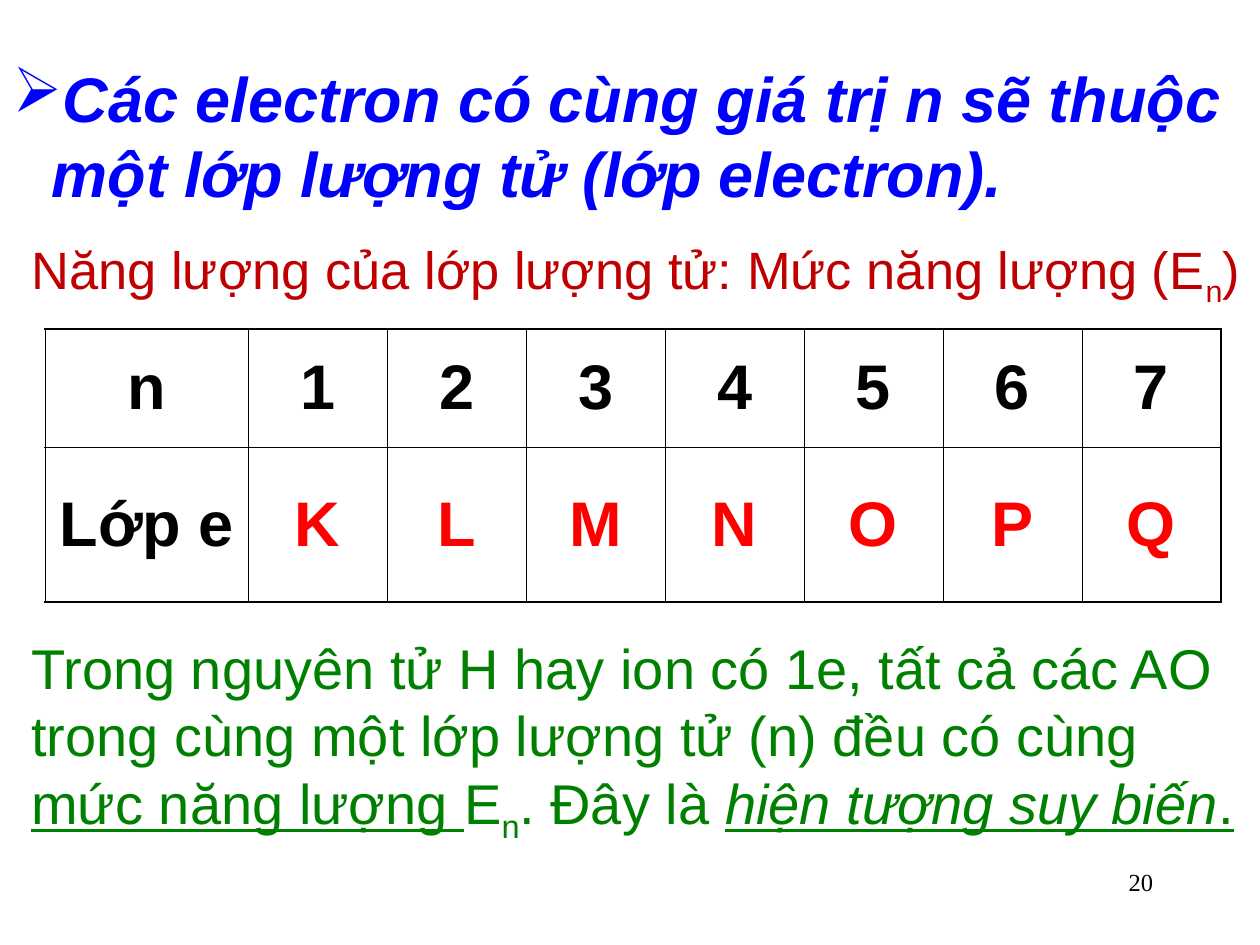
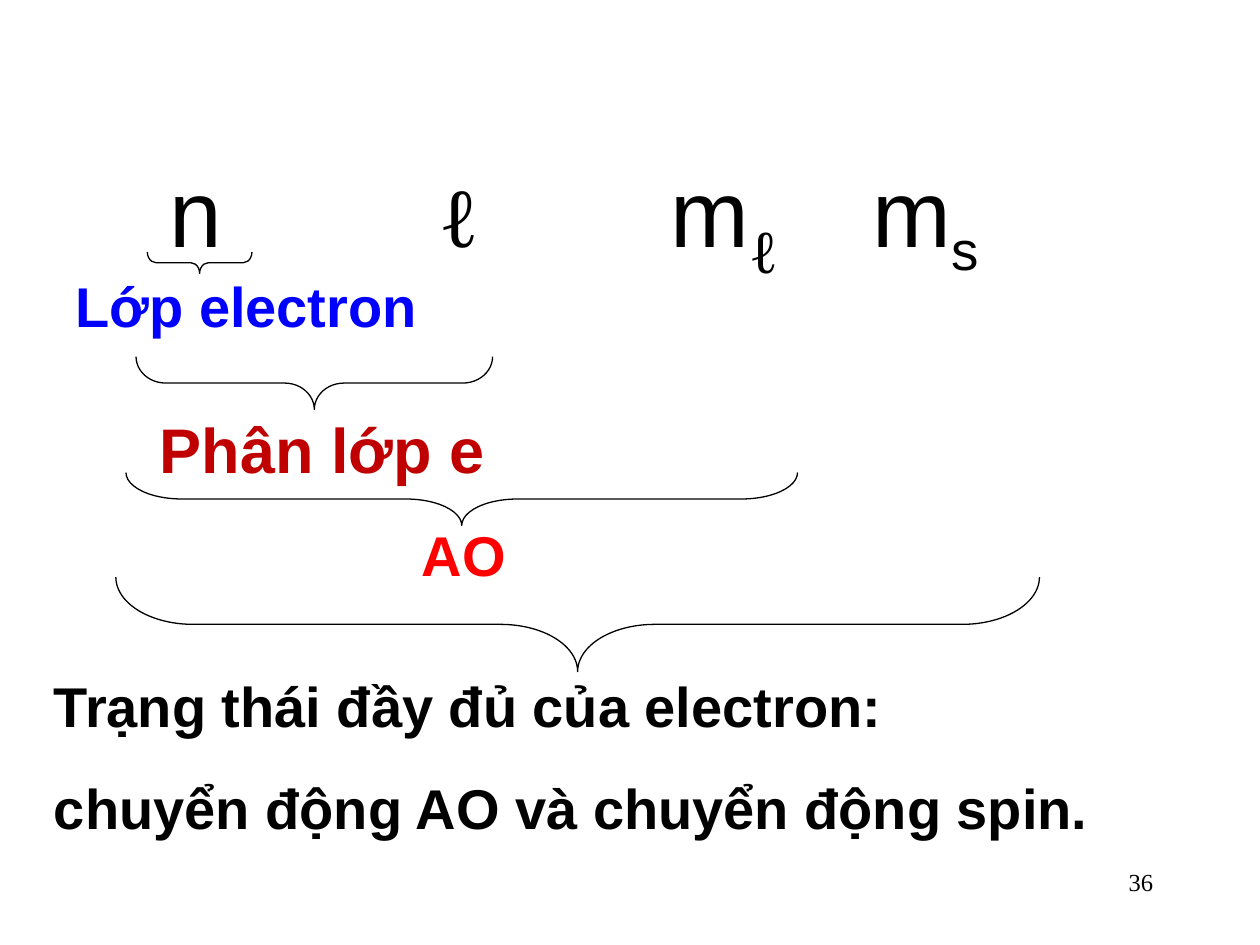
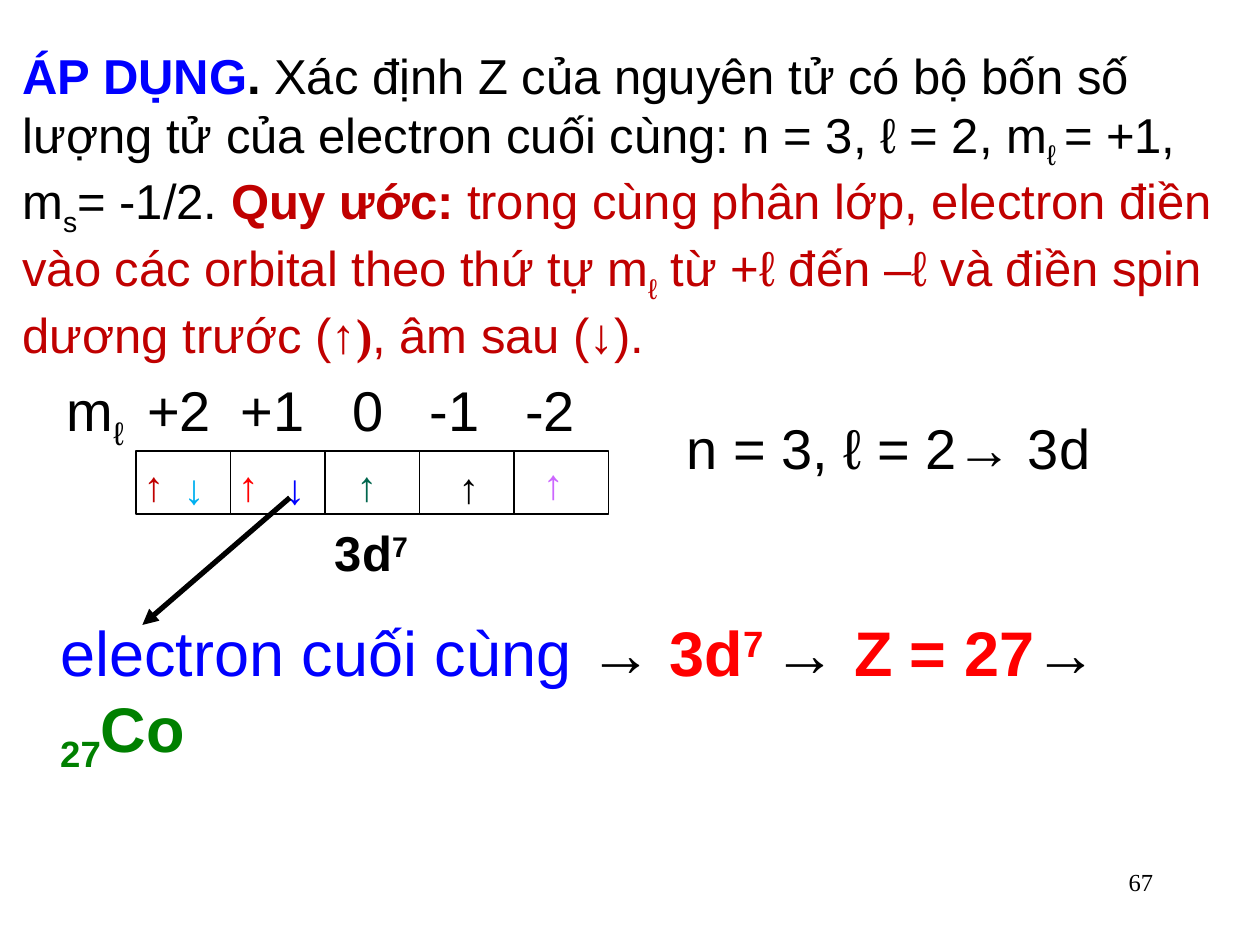
import pptx
import pptx.dml.color
import pptx.enum.shapes
import pptx.enum.text
import pptx.oxml
import pptx.oxml.ns
import pptx.util

Inches = pptx.util.Inches
Pt = pptx.util.Pt
Align = pptx.enum.text.PP_ALIGN
Anchor = pptx.enum.text.MSO_ANCHOR
Shape = pptx.enum.shapes.MSO_SHAPE
NS = pptx.oxml.ns.nsdecls("a")
BLACK, BLUE, RED, DARK, GREEN = "000000", "0000FF", "FF0000", "C00000", "008000"
SUB, SUP = {"base": -25}, {"base": 30}
SERIF = "Times New Roman"


def ink(code):
    """Return the colour for a hex string."""
    return pptx.dml.color.RGBColor.from_string(code)


def node(xml):
    """Return an element in the drawing namespace from short markup."""
    head, rest = xml.split(">", 1) if not xml.endswith("/>") else (xml[:-2], None)
    return pptx.oxml.parse_xml(f"{head} {NS}/>" if rest is None else f"{head} {NS}>{rest}")


def style(run, form):
    """Apply a dict of format values to a run."""
    for key, value in form.items():
        if key == "color":
            run.font.color.rgb = ink(value)
        elif key == "base":
            run._r.get_or_add_rPr().set("baseline", str(value * 1000))
        else:
            setattr(run.font, key, Pt(value) if key == "size" else value)


def write(frame, paras, form, align=None, gap=0, stops=()):
    """Fill a text frame with paragraphs, each a list of text and format pairs."""
    for num, parts in enumerate(paras):
        para = frame.add_paragraph() if num else frame.paragraphs[0]
        if stops:
            tabs = "".join(f'<a:tab pos="{Inches(stop)}" algn="l"/>' for stop in stops)
            para._p.get_or_add_pPr().append(node(f"<a:tabLst>{tabs}</a:tabLst>"))
        if align is not None:
            para.alignment = align
        if num and gap:
            para.space_before = Pt(gap)
        for text, extra in parts:
            run = para.add_run()
            run.text = text
            style(run, {"name": "Arial", "color": BLACK, **form, **extra})


def label(slide, box, paras, form, **more):
    """Add a wrapped text box; a plain string makes one paragraph."""
    frame = slide.shapes.add_textbox(*map(Inches, box)).text_frame
    frame.word_wrap = True
    write(frame, [[(paras, {})]] if isinstance(paras, str) else paras, form, **more)


def start(deck, layout, number):
    """Add a slide with its page number."""
    slide = deck.slides.add_slide(deck.slide_layouts[layout])
    label(slide, (7.17, 6.83, 2.08, 0.5), str(number),
          {"size": 14, "name": SERIF}, align=Align.RIGHT)
    return slide


def heading(slide, box, text):
    """Format the title as a bulleted statement."""
    title = slide.shapes.title
    title.left, title.top, title.width, title.height = map(Inches, box)
    frame = title.text_frame
    frame.auto_size = pptx.enum.text.MSO_AUTO_SIZE.NONE
    frame.vertical_anchor = Anchor.TOP
    prop = frame.paragraphs[0]._p.get_or_add_pPr()
    prop.set("marL", str(Inches(0.81)))
    prop.set("indent", str(Inches(-0.31)))
    prop.append(node(f'<a:buClr><a:srgbClr val="{BLUE}"/></a:buClr>'))
    prop.append(node('<a:buChar char="➢"/>'))
    write(frame, [[(text, {})]],
          {"size": 36, "color": BLUE, "bold": True, "italic": True}, align=Align.LEFT)


def edge(cell, sides):
    """Draw the borders of a cell from widths in points."""
    prop = cell._tc.get_or_add_tcPr()
    for spot, (side, width) in enumerate(sides.items()):
        prop.insert(spot, node(f'<a:ln{side} w="{Pt(width)}"><a:solidFill>'
                               f'<a:srgbClr val="{BLACK}"/></a:solidFill></a:ln{side}>'))


def shells(slide, box, rows, heights, first):
    """Build the table of electron shells."""
    last = len(rows[0]) - 1
    table = slide.shapes.add_table(len(rows), last + 1, *map(Inches, box)).table
    table.first_row = table.horz_banding = False
    for col in range(last + 1):
        table.columns[col].width = Inches(first if col == 0 else (box[2] - first) / last)
    for row, texts in enumerate(rows):
        table.rows[row].height = Inches(heights[row])
        for col, text in enumerate(texts):
            cell = table.cell(row, col)
            cell.fill.background()
            cell.vertical_anchor = Anchor.MIDDLE
            write(cell.text_frame, [[(text, {})]],
                  {"size": 36, "bold": True, "color": RED if row and col else BLACK},
                  align=Align.CENTER)
            outer = {"L": col == 0, "R": col == last, "T": row == 0, "B": row == len(rows) - 1}
            edge(cell, {side: 1.08 if rim else 0.45 for side, rim in outer.items()})


def plain(shape):
    """Leave a shape with only a thin black outline."""
    shape.shadow.inherit = False
    shape.fill.background()
    shape.line.color.rgb = ink(BLACK)
    shape.line.width = Pt(0.75)


def brace(slide, box):
    """Draw a brace that spans the box and points down."""
    left, top, span, depth = box
    shape = slide.shapes.add_shape(
        Shape.LEFT_BRACE, Inches(left + (span - depth) / 2),
        Inches(top + (depth - span) / 2), Inches(depth), Inches(span))
    shape.rotation = 270
    shape.adjustments[0] = span / depth / 12
    plain(shape)


def cells(slide, box, spins):
    """Draw a row of orbitals and the spin arrows in it."""
    left, top, width, height = box
    for num in range(5):
        plain(slide.shapes.add_shape(Shape.RECTANGLE, Inches(left + num * width / 5),
                                     Inches(top), Inches(width / 5), Inches(height)))
    for text, dx, dy, color in spins:
        label(slide, (left + dx, top + dy, 0.33, 0.5), text,
              {"size": 24, "bold": True, "color": color})


def arrow(slide, ends):
    """Draw a thick arrow between two points."""
    line = slide.shapes.add_connector(
        pptx.enum.shapes.MSO_CONNECTOR.STRAIGHT, *map(Inches, ends))
    line.line.color.rgb = ink(BLACK)
    line.line.width = Pt(3)
    line.line._get_or_add_ln().append(node('<a:tailEnd type="triangle"/>'))
    line._element.spPr.append(node("<a:effectLst/>"))


def layers(deck):
    """Build the slide on quantum shells."""
    slide = start(deck, 5, 20)
    heading(slide, (-0.5, 0.42, 10.42, 1.33),
            "Các electron có cùng giá trị n sẽ thuộc một lớp lượng tử (lớp electron).")
    shells(slide, (0.36, 2.61, 9.33, 2.17),
           [["n", *"1234567"], ["Lớp e", *"KLMNOPQ"]], (0.94, 1.23), 1.61)
    line = {"underline": True}
    label(slide, (0.15, 4.98, 10, 1.78), [
        [("Trong nguyên tử H hay ion có 1e, tất cả các AO trong cùng một lớp "
          "lượng tử (n) đều có cùng", {})],
        [("mức năng lượng ", line), ("E", {}), ("n", SUB), (". Đây là ", {}),
         ("hiện tượng suy biến", {"italic": True, **line}), (".", line)],
    ], {"size": 32, "color": GREEN})
    label(slide, (0.15, 1.83, 9.85, 0.67),
          [[("Năng lượng của lớp lượng tử: Mức năng lượng (E", {}), ("n", SUB), (")", {})]],
          {"size": 30, "color": DARK})


def numbers(deck):
    """Build the slide on what the quantum numbers fix."""
    slide = start(deck, 6, 36)
    label(slide, (1.25, 1.08, 8.75, 1.24), [[
        ("n\t", {}), ("ℓ", {"size": 48, "name": SERIF, "bold": True}), ("\tm", {}),
        ("ℓ", {"size": 60, "name": SERIF, **SUB}), ("\tm", {}), ("s", SUB),
    ]], {"size": 54}, stops=(2.17, 3.97, 5.58))
    for box, text, size, color in (
            ((0.5, 2.11, 3.58, 0.64), "Lớp electron", 32, BLUE),
            ((1.17, 3.21, 3.58, 0.7), "Phân lớp e", 36, DARK),
            ((3.25, 4.08, 1.08, 0.64), "AO", 32, RED)):
        label(slide, box, text, {"size": size, "color": color, "bold": True})
    label(slide, (0.33, 5.28, 9.33, 1.45),
          [[("Trạng thái đầy đủ của electron:", {})],
           [("chuyển động AO và chuyển động spin.", {})]],
          {"size": 32, "bold": True}, gap=20)
    for box in ((1.17, 2, 0.83, 0.17), (1.08, 2.83, 2.83, 0.42),
                (1, 3.75, 5.33, 0.42), (0.92, 4.58, 7.33, 0.75)):
        brace(slide, box)


def task(deck):
    """Build the worked example slide."""
    slide = start(deck, 6, 67)
    bold, dark = {"bold": True}, {"color": DARK}
    label(slide, (0.08, 0.31, 9.7, 2.63), [[
        ("ÁP DỤNG", {"color": BLUE, **bold}), (". ", bold),
        ("Xác định Z của nguyên tử có bộ bốn số lượng tử của electron cuối cùng: "
         "n = 3, ℓ = 2, m", {}),
        ("ℓ ", SUB), ("= +1, m", {}), ("s", SUB), ("= -1/2. ", {}),
        ("Quy ước: ", {**dark, **bold}),
        ("trong cùng phân lớp, electron điền vào các orbital theo thứ tự m", dark),
        ("ℓ", {**dark, **SUB}),
        (" từ +ℓ đến –ℓ và điền spin dương trước (", dark),
        ("↑", {**dark, **bold}), (")", {**dark, **bold, "name": SERIF}),
        (", âm sau (↓).", dark),
    ]], {"size": 28})
    label(slide, (5.35, 3.23, 4.4, 0.64), "n = 3, ℓ = 2→ 3d", {"size": 32})
    label(slide, (0.43, 2.93, 5.79, 0.71),
          [[("m", {}), ("ℓ", SUB), ("\t+2\t+1\t0\t-1\t-2", {})]],
          {"size": 32}, stops=(0.64, 1.38, 2.27, 2.88, 3.64))
    cells(slide, (1.08, 3.58, 3.75, 0.5), (
        ("↑", -0.04, 0.02, DARK), ("↓", 0.28, 0.04, "00B0F0"),
        ("↑", 0.71, 0.02, RED), ("↓", 1.08, 0.04, BLUE),
        ("↑", 1.65, 0.02, "00664D"), ("↑", 2.46, 0.03, BLACK),
        ("↑", 3.13, 0, "CC66FF")))
    arrow(slide, (2.3, 3.95, 1.13, 4.96))
    label(slide, (2.56, 4.1, 1.02, 0.57), [[("3d", {}), ("7", SUP)]], {"size": 28, **bold})
    red, green = {"color": RED, **bold}, {"color": GREEN, **bold}
    label(slide, (0.38, 4.82, 9.27, 0.79), [[
        ("electron cuối cùng ", {"color": BLUE}), ("→ ", {}), ("3d", red),
        ("7 ", {**red, **SUP}), ("→ ", {}), ("Z = 27", red), ("→ ", {}),
        ("27", {**green, **SUB}), ("Co", green),
    ]], {"size": 36})


def main():
    """Build and save the deck."""
    deck = pptx.Presentation()
    deck.slide_width, deck.slide_height = Inches(10), Inches(7.5)
    for build in (layers, numbers, task):
        build(deck)
    deck.save("out.pptx")


if __name__ == "__main__":
    main()
